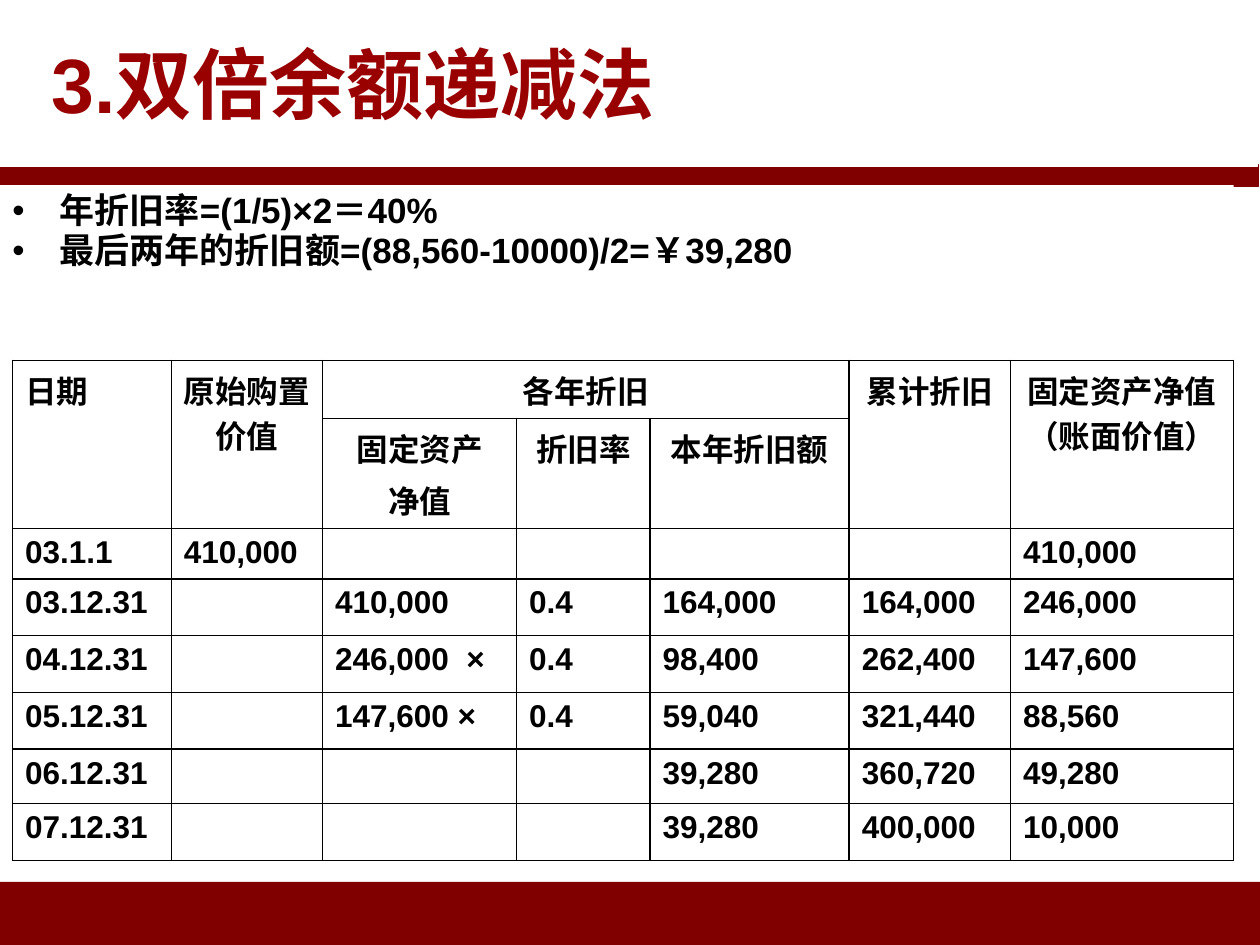
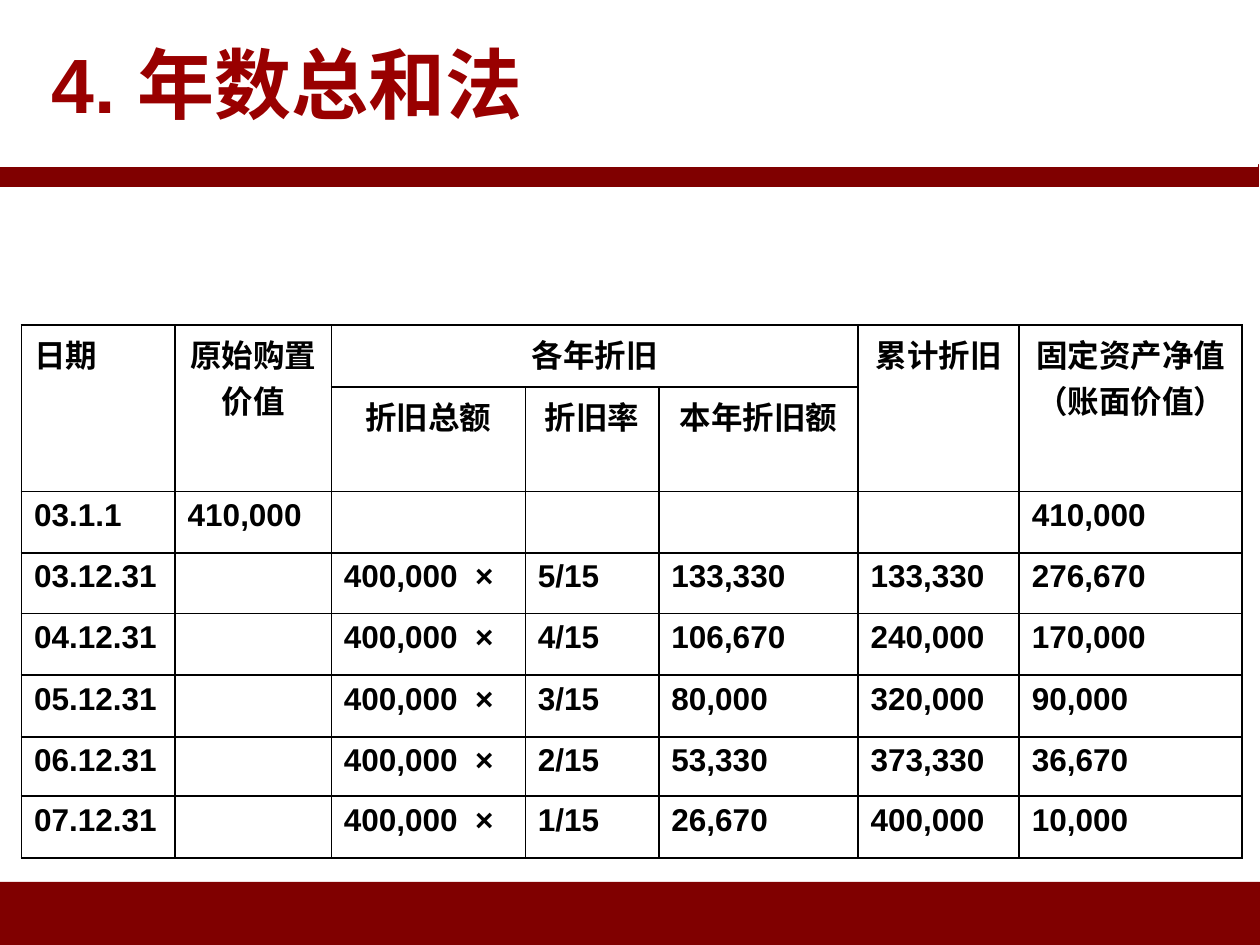
from collections import namedtuple
from dataclasses import dataclass

from lxml import etree
from pptx import Presentation
from pptx import util as u
from pptx.dml.color import RGBColor
from pptx.enum import shapes, text
from pptx.oxml import ns

Box = namedtuple("Box", "left top width height")


@dataclass(frozen=True)
class Theme:
    font: str = "Arial"
    band: str = "800000"
    title: str = "990000"
    ink: str = "000000"
    paper: str = "FFFFFF"
    title_size: int = 44
    body_size: int = 20
    cell_size: int = 18
    hairline: float = 0.75
    grid_line: float = 1


T = Theme()
COLS, ROWS = 100, 75  # layout grid of one slide
UNIT = u.Inches(10) // COLS

FOOTER = Box(0, 70, COLS, 5)
RULE = Box(-0.1, 13.1, COLS, 1.7)
HEADER = Box(-0.2, 0.1, COLS, 13.1)
TITLE = Box(3.1, 0.1, 89.4, 12.9)
NOTES = Box(0, 14.7, 97.9, 6.8)

YEARS = ["03.1.1"] + [f"{year:02}.12.31" for year in range(3, 8)]
OPENING = ["410,000", "", "", "", "", "410,000"]


def units(value):
    return round(value * UNIT)


def place(box):
    return [units(value) for value in box]


def add_panel(slide, box, fill, line=None):
    sp = slide.shapes.add_shape(shapes.MSO_SHAPE.RECTANGLE, *place(box))
    sp.shadow.inherit = False
    sp.fill.solid()
    sp.fill.fore_color.rgb = RGBColor.from_string(fill)
    if line:
        sp.line.color.rgb = RGBColor.from_string(line)
        sp.line.width = u.Pt(T.hairline)
    else:
        sp.line.fill.background()
    return sp


def add_run(p, words, size, color=T.ink):
    r = p.add_run()
    r.text = words
    for name, value in {"name": T.font, "size": u.Pt(size), "bold": True}.items():
        setattr(r.font, name, value)
    r.font.color.rgb = RGBColor.from_string(color)


def add_text_box(slide, box, anchor):
    sp = slide.shapes.add_textbox(*place(box))
    sp.fill.solid()
    sp.fill.fore_color.rgb = RGBColor.from_string(T.paper)
    sp.text_frame.word_wrap = True
    sp.text_frame.vertical_anchor = anchor
    return sp.text_frame


def add_frame(slide, title):
    """Footer, rule and title that every slide shares."""
    add_panel(slide, FOOTER, T.band)
    add_panel(slide, RULE, T.band, T.band)
    add_panel(slide, HEADER, T.paper, T.paper)
    tf = add_text_box(slide, TITLE, text.MSO_ANCHOR.MIDDLE)
    add_run(tf.paragraphs[0], title, T.title_size, T.title)


def add_bullets(slide, box, lines):
    tf = add_text_box(slide, box, text.MSO_ANCHOR.TOP)
    for i, words in enumerate(lines):
        p = tf.add_paragraph() if i else tf.paragraphs[0]
        p.line_spacing = 0.95
        pPr = p._p.get_or_add_pPr()
        indent = units(3.75)
        pPr.set("marL", str(indent))
        pPr.set("indent", str(-indent))
        etree.SubElement(pPr, ns.qn("a:buFont"), typeface=T.font)
        etree.SubElement(pPr, ns.qn("a:buChar"), char="•")
        add_run(p, words, T.body_size)


def add_borders(cell):
    tcPr = cell._tc.get_or_add_tcPr()
    for i, side in enumerate(("lnL", "lnR", "lnT", "lnB")):
        ln = etree.Element(ns.qn(f"a:{side}"), w=str(u.Pt(T.grid_line)))
        fill = etree.SubElement(ln, ns.qn("a:solidFill"))
        etree.SubElement(fill, ns.qn("a:srgbClr"), val=T.ink)
        tcPr.insert(i, ln)


def fill_cell(cell, words, align):
    for i, line in enumerate(words.split("\n") if words else []):
        tf = cell.text_frame
        p = tf.add_paragraph() if i else tf.paragraphs[0]
        p.alignment = align
        if i:
            p.space_before = u.Pt(0.2 * T.cell_size)
        add_run(p, line, T.cell_size)


def add_schedule(slide, box, cols, rows, base_heading, records):
    """Depreciation table; cols and rows are relative sizes within the box."""
    cells = [
        ["日期", "原始购置价值", "各年折旧", "", "", "累计折旧", "固定资产净值（账面价值）"],
        ["", "", base_heading, "折旧率", "本年折旧额", "", ""],
    ]
    cells += [[year, *record] for year, record in zip(YEARS, records)]
    table = slide.shapes.add_table(len(rows), len(cols), *place(box)).table
    table.first_row = table.horz_banding = False
    for col, share in zip(table.columns, cols):
        col.width = units(box.width * share / sum(cols))
    for row, share in zip(table.rows, rows):
        row.height = units(box.height * share / sum(rows))
    for i, values in enumerate(cells):
        for j, words in enumerate(values):
            cell = table.cell(i, j)
            cell.fill.background()
            add_borders(cell)
            centred = i < 2 and j > 0
            fill_cell(cell, words, text.PP_ALIGN.CENTER if centred else text.PP_ALIGN.LEFT)
    for j in (0, 1, 5, 6):
        table.cell(0, j).merge(table.cell(1, j))
    table.cell(0, 2).merge(table.cell(0, 4))


def add_double_declining(slide):
    add_frame(slide, "3.双倍余额递减法")
    add_bullets(slide, NOTES, [
        "年折旧率=(1/5)×2＝40%",
        "最后两年的折旧额=(88,560-10000)/2=￥39,280",
    ])
    add_schedule(
        slide, Box(1, 28.6, 96.9, 39.7),
        cols=[126, 120, 154, 106, 158, 128, 177],
        rows=[46, 87, 40, 45, 45, 45, 43, 45],
        base_heading="固定资产\n净值",
        records=[
            OPENING,
            ["", "410,000", "0.4", "164,000", "164,000", "246,000"],
            ["", "246,000  ×", "0.4", "98,400", "262,400", "147,600"],
            ["", "147,600 ×", "0.4", "59,040", "321,440", "88,560"],
            ["", "", "", "39,280", "360,720", "49,280"],
            ["", "", "", "39,280", "400,000", "10,000"],
        ])


def add_sum_of_years(slide):
    add_frame(slide, "4. 年数总和法")
    amounts = [
        ("133,330", "133,330", "276,670"),
        ("106,670", "240,000", "170,000"),
        ("80,000", "320,000", "90,000"),
        ("53,330", "373,330", "36,670"),
        ("26,670", "400,000", "10,000"),
    ]
    add_schedule(
        slide, Box(1.7, 25.8, 96.9, 42.3),
        cols=[122, 124, 154, 106, 158, 128, 177],
        rows=[49, 83, 49, 48, 49, 49, 47, 49],
        base_heading="折旧总额",
        records=[OPENING] + [
            ["", "400,000  ×", f"{5 - i}/15", *row] for i, row in enumerate(amounts)
        ])


def main():
    prs = Presentation()
    prs.slide_width, prs.slide_height = COLS * UNIT, ROWS * UNIT
    for build in (add_double_declining, add_sum_of_years):
        build(prs.slides.add_slide(prs.slide_layouts[6]))
    prs.save("out.pptx")


if __name__ == "__main__":
    main()
